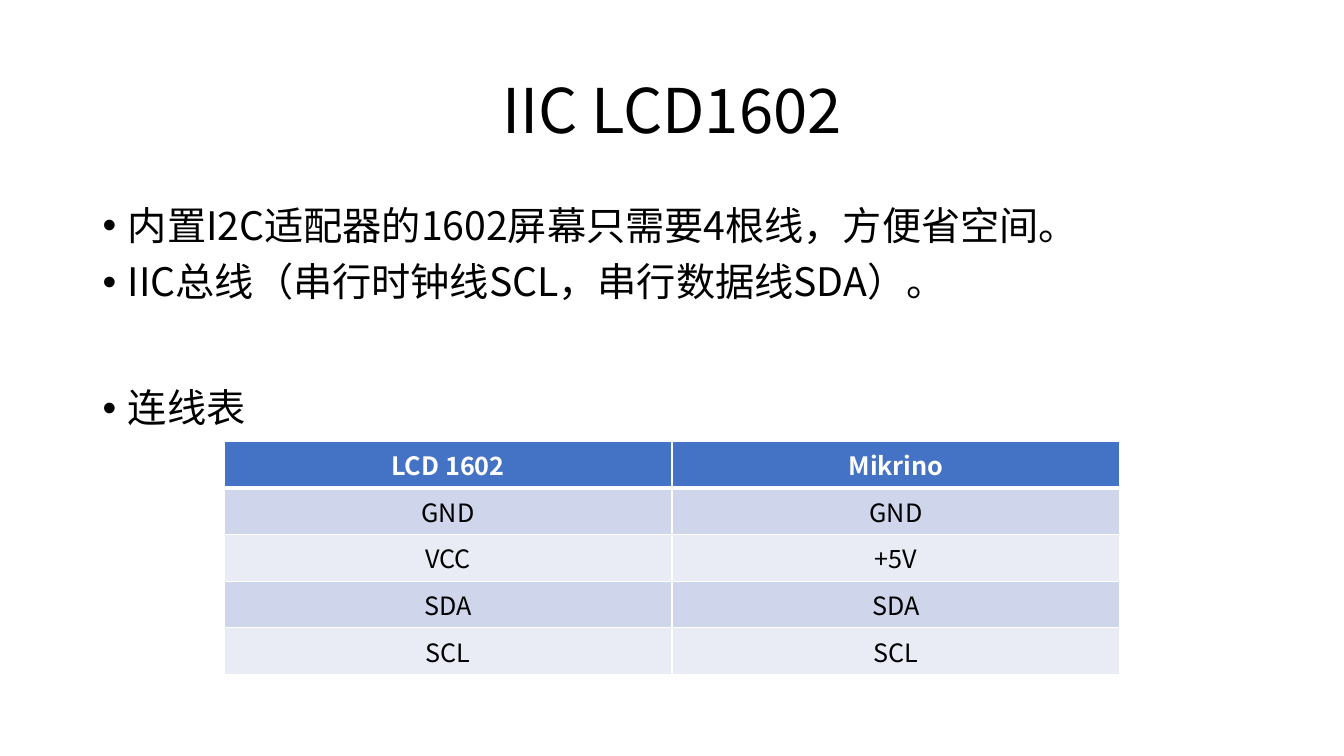
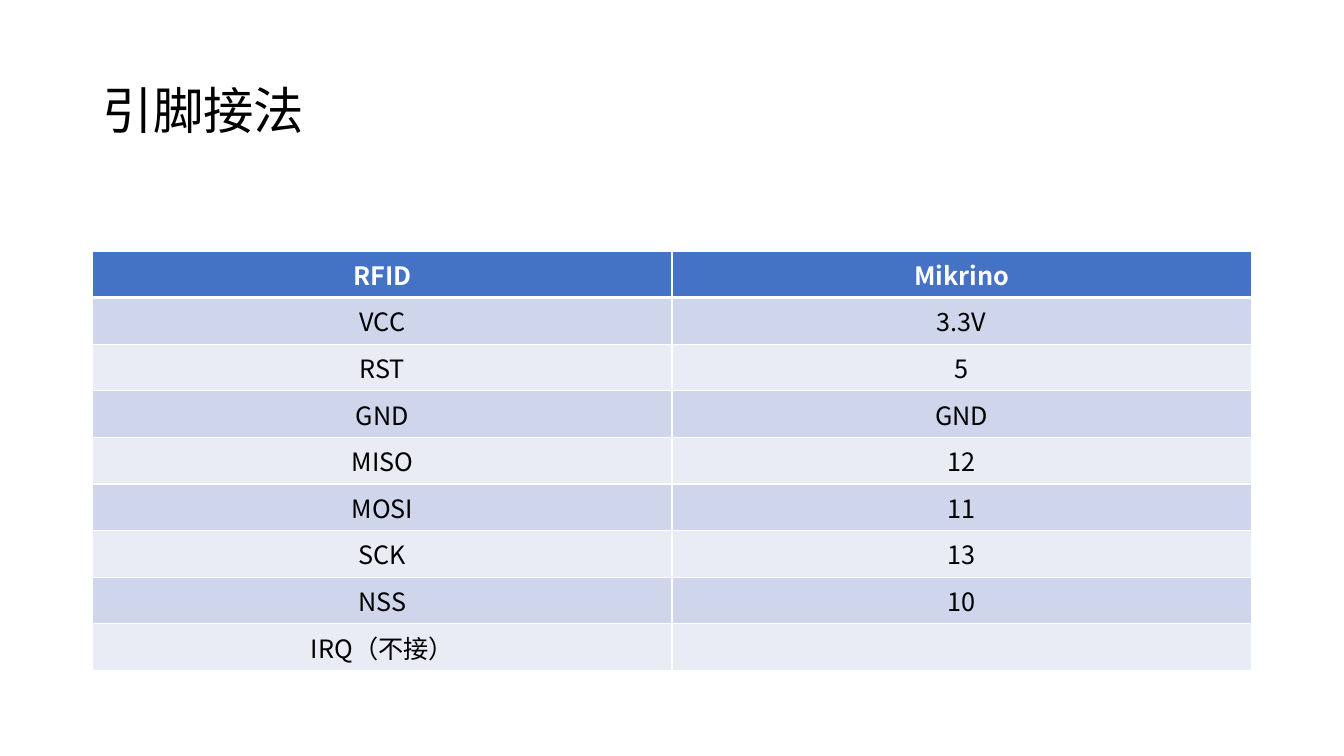
import pptx
import pptx.util
import pptx.dml.color
import pptx.enum.text
import pptx.oxml
import pptx.oxml.ns
import lxml.etree

# Shared style
COLORS = {
    "text": "000000",
    "paper": "FFFFFF",
    "header": "4472C4",
    "band_dark": "CFD5EA",
    "band_light": "E9EBF5",
}
FONT = "Noto Sans CJK SC"
ALIGN = pptx.enum.text.PP_ALIGN
ANCHOR = pptx.enum.text.MSO_ANCHOR
Inches = pptx.util.Inches
Pt = pptx.util.Pt

# Page grid, in inches
PAGE_W, PAGE_H = 13.33, 7.5
MARGIN = 0.92
CONTENT_W = PAGE_W - 2 * MARGIN
ROW_H = 0.41


def rgb(name):
    return pptx.dml.color.RGBColor.from_string(COLORS[name])


def add_child(parent, tag, **attributes):
    return lxml.etree.SubElement(parent, pptx.oxml.ns.qn(tag), attributes)


def write_text(paragraph, text, size=18, color="text", bold=False,
               align=ALIGN.LEFT, spacing=None, before=None):
    paragraph.alignment = align
    if spacing is not None:
        paragraph.line_spacing = spacing
    if before is not None:
        paragraph.space_before = Pt(before)
    run = paragraph.add_run()
    run.text = text
    run.font.name = FONT
    run.font.size = Pt(size)
    run.font.bold = bold
    run.font.color.rgb = rgb(color)
    add_child(run.font._element, "a:ea", typeface=FONT)


def add_frame(slide, top, height, anchor):
    box = slide.shapes.add_textbox(Inches(MARGIN), Inches(top),
                                   Inches(CONTENT_W), Inches(height))
    frame = box.text_frame
    frame.word_wrap = True
    frame.auto_size = pptx.enum.text.MSO_AUTO_SIZE.TEXT_TO_FIT_SHAPE
    frame.vertical_anchor = anchor
    return frame


def add_title(slide, text, size, align):
    frame = add_frame(slide, 0.4, 1.45, ANCHOR.MIDDLE)
    write_text(frame.paragraphs[0], text, size=size, align=align, spacing=0.9)


def add_bullets(slide, points):
    """Each point is its text and the space before it, in points."""
    frame = add_frame(slide, 2, 4.76, ANCHOR.TOP)
    for index, (text, before) in enumerate(points):
        paragraph = frame.add_paragraph() if index else frame.paragraphs[0]
        write_text(paragraph, text, size=28, spacing=0.9, before=before)
        properties = paragraph._p.get_or_add_pPr()
        properties.set("marL", str(Inches(0.25)))
        properties.set("indent", str(Inches(-0.25)))
        add_child(properties, "a:buFont", typeface="Arial")
        add_child(properties, "a:buChar", char="•")


def set_borders(cell, top, bottom):
    properties = cell._tc.get_or_add_tcPr()
    for side, width in (("L", 1), ("R", 1), ("T", top), ("B", bottom)):
        line = add_child(properties, f"a:ln{side}", w=str(Pt(width)))
        fill = add_child(line, "a:solidFill")
        add_child(fill, "a:srgbClr", val=COLORS["paper"])


def add_wiring_table(slide, wiring, top, width):
    columns = len(wiring[0])
    table = slide.shapes.add_table(
        len(wiring), columns, Inches((PAGE_W - width) / 2), Inches(top),
        Inches(width), Inches(ROW_H * len(wiring))).table
    for column in table.columns:
        column.width = Inches(width / columns)
    for row, pins in enumerate(wiring):
        table.rows[row].height = Inches(ROW_H)
        header = row == 0
        band = "header" if header else "band_dark" if row % 2 else "band_light"
        for column, pin in enumerate(pins):
            cell = table.cell(row, column)
            set_borders(cell, top=3 if row == 1 else 1, bottom=3 if header else 1)
            cell.fill.solid()
            cell.fill.fore_color.rgb = rgb(band)
            if pin:
                write_text(cell.text_frame.paragraphs[0], pin, bold=header,
                           color="paper" if header else "text",
                           align=ALIGN.CENTER)


def main():
    deck = pptx.Presentation()
    deck.slide_width, deck.slide_height = Inches(PAGE_W), Inches(PAGE_H)
    blank = deck.slide_layouts[6]

    # Display module
    display = deck.slides.add_slide(blank)
    add_title(display, "IIC LCD1602", 44, ALIGN.CENTER)
    add_bullets(display, [
        ("内置I2C适配器的1602屏幕只需要4根线，方便省空间。", 10),
        ("IIC总线（串行时钟线SCL，串行数据线SDA）。", 10),
        ("连线表", 60),
    ])
    add_wiring_table(display, [
        ("LCD 1602", "Mikrino"),
        ("GND", "GND"),
        ("VCC", "+5V"),
        ("SDA", "SDA"),
        ("SCL", "SCL"),
    ], top=4.38, width=PAGE_W * 2 / 3)

    # Card reader pins
    reader = deck.slides.add_slide(blank)
    add_title(reader, "引脚接法", 36, ALIGN.LEFT)
    add_wiring_table(reader, [
        ("RFID", "Mikrino"),
        ("VCC", "3.3V"),
        ("RST", "5"),
        ("GND", "GND"),
        ("MISO", "12"),
        ("MOSI", "11"),
        ("SCK", "13"),
        ("NSS", "10"),
        ("IRQ（不接）", ""),
    ], top=2.49, width=CONTENT_W)

    deck.save("out.pptx")


main()
